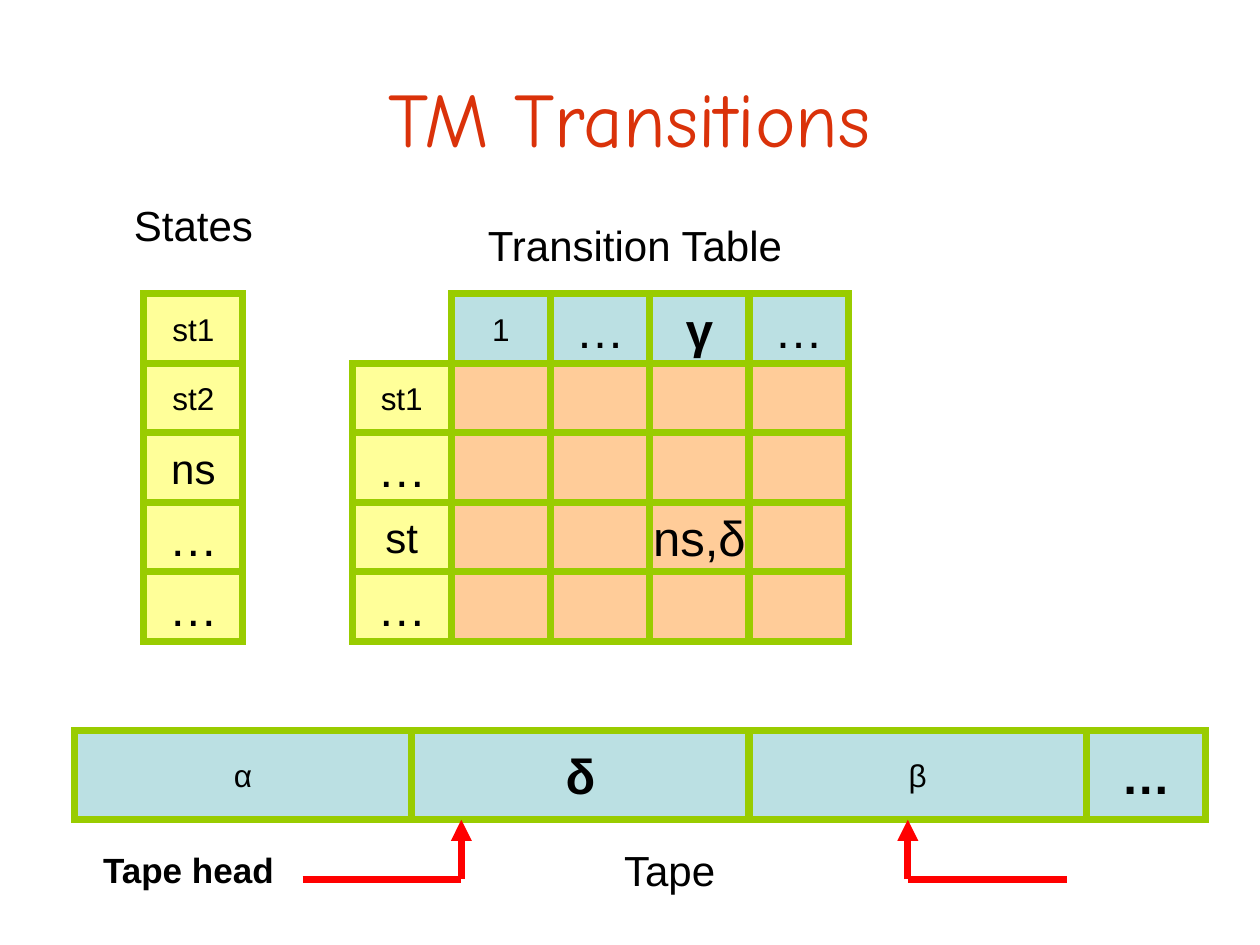
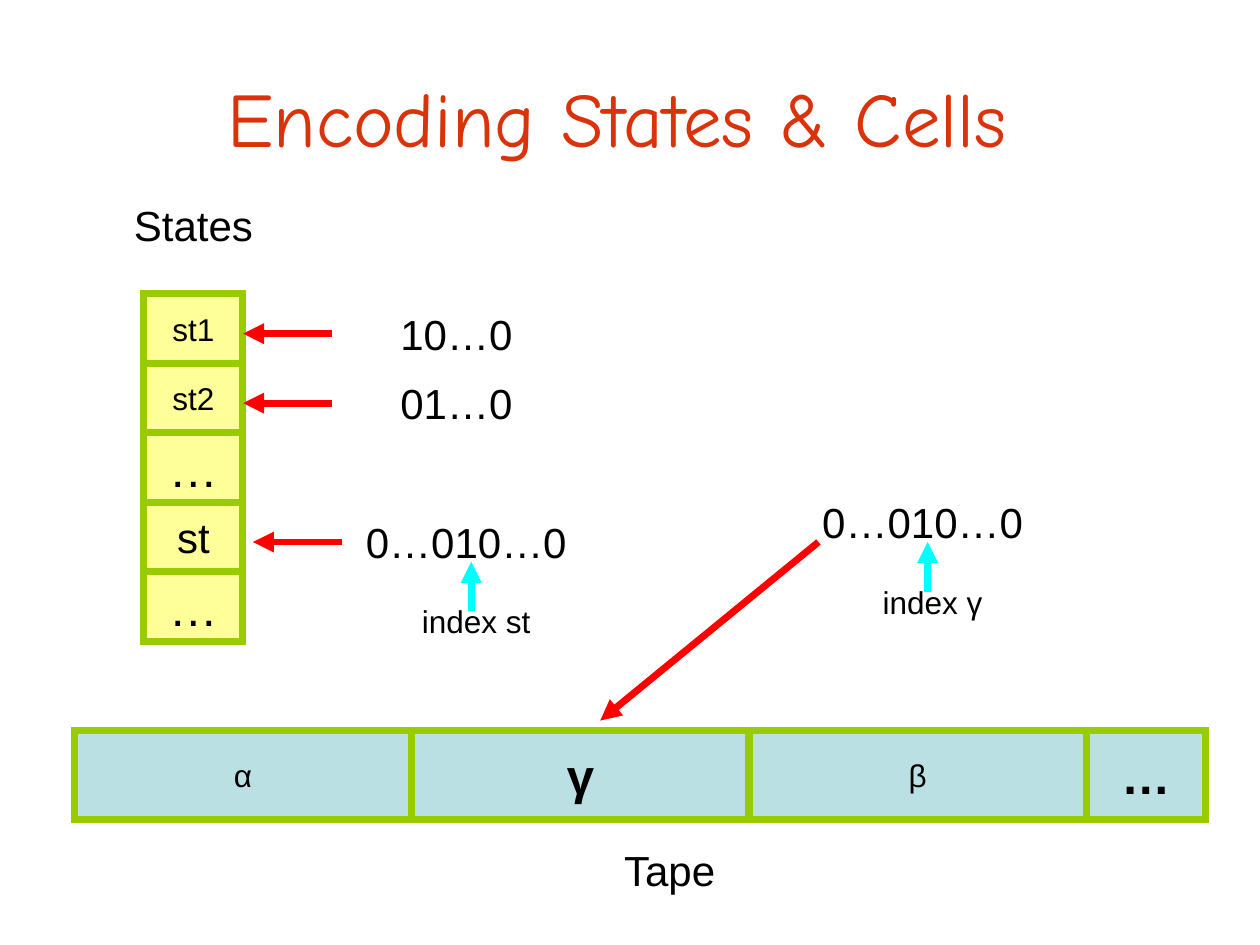
from dataclasses import dataclass

from lxml import etree
from pptx import Presentation, util as u
from pptx.dml.color import RGBColor
from pptx.enum import shapes, text
from pptx.oxml import ns


@dataclass(frozen=True)
class Theme:
    title: str = "DA320A"
    ink: str = "000000"
    border: str = "99CC00"
    state: str = "FFFF99"
    symbol: str = "BBE0E3"
    entry: str = "FFCC99"
    pointer: str = "FF0000"
    index: str = "00FFFF"
    title_font: str = "Comic Neue"
    body_font: str = "Arial"
    title_size: int = 44
    big: int = 28
    medium: int = 24
    head: int = 20
    small: int = 18
    stroke: int = 4


theme = Theme()
deck = Presentation()
deck.slide_width, deck.slide_height = u.Inches(10), u.Inches(7.5)

UNIT = deck.slide_width / 127
LEFT, TOP = 0.5, 0.63
CELL_COLUMNS, CELL_ROWS = 10, 7
TAPE_COLUMNS, TAPE_ROWS = 34, 9
LABEL_ROWS = 6
GRID_TOP, TAPE_TOP, TAPE_LABEL_TOP = 29, 73, 84
TAPE_LEFT, STATES_LEFT, TABLE_LEFT = 7, 14, 35

LABEL_SIZES = {"…": theme.big, "ns,δ": theme.big, "γ": theme.big, "δ": theme.big,
               "st": theme.medium, "ns": theme.medium}
BOLD_LABELS = ("γ", "δ")


def add_box(page, label, column, row, columns, rows, size, fill=None, bold=False):
    place = [int(cells * UNIT) for cells in (column + LEFT, row + TOP, columns, rows)]
    if fill:
        box = page.shapes.add_shape(shapes.MSO_SHAPE.RECTANGLE, *place)
        box.shadow.inherit = False
        box.fill.solid()
        box.fill.fore_color.rgb = RGBColor.from_string(fill)
        box.line.color.rgb = RGBColor.from_string(theme.border)
        box.line.width = u.Pt(theme.stroke)
        etree.SubElement(box.line._get_or_add_ln(), ns.qn("a:miter"), lim="800000")
    else:
        box = page.shapes.add_textbox(*place)
    if label:
        frame_format = {"word_wrap": False, "vertical_anchor": text.MSO_ANCHOR.MIDDLE,
                        "margin_left": 0, "margin_right": 0}
        for name, value in frame_format.items():
            setattr(box.text_frame, name, value)
        para = box.text_frame.paragraphs[0]
        para.alignment = text.PP_ALIGN.CENTER
        span = para.add_run()
        span.text = label
        span.font.color.rgb = RGBColor.from_string(theme.ink)
        font_format = {"name": theme.body_font, "size": u.Pt(size), "bold": bold}
        for name, value in font_format.items():
            setattr(span.font, name, value)
    return box


def add_line(page, start, end, colour, arrow=True):
    points = [int((cells + offset) * UNIT)
              for point in (start, end) for cells, offset in zip(point, (LEFT, TOP))]
    line = page.shapes.add_connector(shapes.MSO_CONNECTOR.STRAIGHT, *points)
    line.line.color.rgb = RGBColor.from_string(colour)
    line.line.width = u.Pt(theme.stroke)
    if arrow:
        etree.SubElement(line.line._get_or_add_ln(), ns.qn("a:tailEnd"), type="triangle")
    etree.SubElement(line._element.spPr, ns.qn("a:effectLst"))


slides = [
    ("TM Transitions", ["st1", "st2", "ns", "…", "…"], "δ"),
    ("Encoding States & Cells ", ["st1", "st2", "…", "st", "…"], "γ"),
]
pages = []
for title, states, scanned in slides:
    page = deck.slides.add_slide(deck.slide_layouts[6])
    pages.append(page)

    box = add_box(page, title, 0, 0, 1, 1, theme.title_size)
    title_place = {"left": 0.05 * deck.slide_width, "top": 0.04 * deck.slide_height,
                   "width": 0.9 * deck.slide_width, "height": deck.slide_height / 6}
    for name, value in title_place.items():
        setattr(box, name, int(value))
    box.text_frame.word_wrap = True
    span = box.text_frame.paragraphs[0].runs[0]
    span.font.name = theme.title_font
    span.font.color.rgb = RGBColor.from_string(theme.title)

    for number, symbol in enumerate(["α", scanned, "β", "…"]):
        add_box(page, symbol, TAPE_LEFT + number * TAPE_COLUMNS, TAPE_TOP,
                12 if symbol == "…" else TAPE_COLUMNS, TAPE_ROWS,
                LABEL_SIZES.get(symbol, theme.small), theme.symbol,
                symbol in BOLD_LABELS + ("…",))
    add_box(page, "Tape", 53, TAPE_LABEL_TOP, 28, LABEL_ROWS, theme.medium)

    for number, state in enumerate(states):
        add_box(page, state, STATES_LEFT, GRID_TOP + number * CELL_ROWS,
                CELL_COLUMNS, CELL_ROWS, LABEL_SIZES.get(state, theme.small), theme.state)
    add_box(page, "States", 5, 19, 28, LABEL_ROWS, theme.medium)

transitions, encoding = pages

add_box(transitions, "Transition Table", 48, 21, 31, LABEL_ROWS, theme.medium)
table = [
    [None, "1", "…", "γ", "…"],
    ["st1", "", "", "", ""],
    ["…", "", "", "", ""],
    ["st", "", "", "ns,δ", ""],
    ["…", "", "", "", ""],
]
for row, labels in enumerate(table):
    for column, label in enumerate(labels):
        if label is None:
            continue
        fill = theme.symbol if row == 0 else theme.state if column == 0 else theme.entry
        add_box(transitions, label, TABLE_LEFT + column * CELL_COLUMNS,
                GRID_TOP + row * CELL_ROWS, CELL_COLUMNS, CELL_ROWS,
                LABEL_SIZES.get(label, theme.small), fill, label in BOLD_LABELS)

add_box(transitions, "Tape head", TAPE_LEFT, TAPE_LABEL_TOP, 23, LABEL_ROWS,
        theme.head, bold=True)
for outer, corner in ((30, 46), (107, 91)):
    add_line(transitions, (outer, 88), (corner, 88), theme.pointer, arrow=False)
    add_line(transitions, (corner, 88), (corner, TAPE_TOP + TAPE_ROWS), theme.pointer)

codes = [("10…0", 35, 30), ("01…0", 35, 37), ("0…010…0", 36, 51), ("0…010…0", 82, 49)]
for code, column, row in codes:
    add_box(encoding, code, column, row, 21, LABEL_ROWS, theme.medium)
for column, row in ((33, 33), (33, 40), (34, 54)):
    add_line(encoding, (column, row), (column - 9, row), theme.pointer)
for label, column, row in (("index st", 37, 59), ("index γ", 83, 57)):
    add_box(encoding, label, column, row, 21, LABEL_ROWS, theme.small)
    add_line(encoding, (column + 10, row + 2), (column + 10, row - 3), theme.index)
add_line(encoding, (82, 54), (60, 72), theme.pointer)

deck.save("out.pptx")
